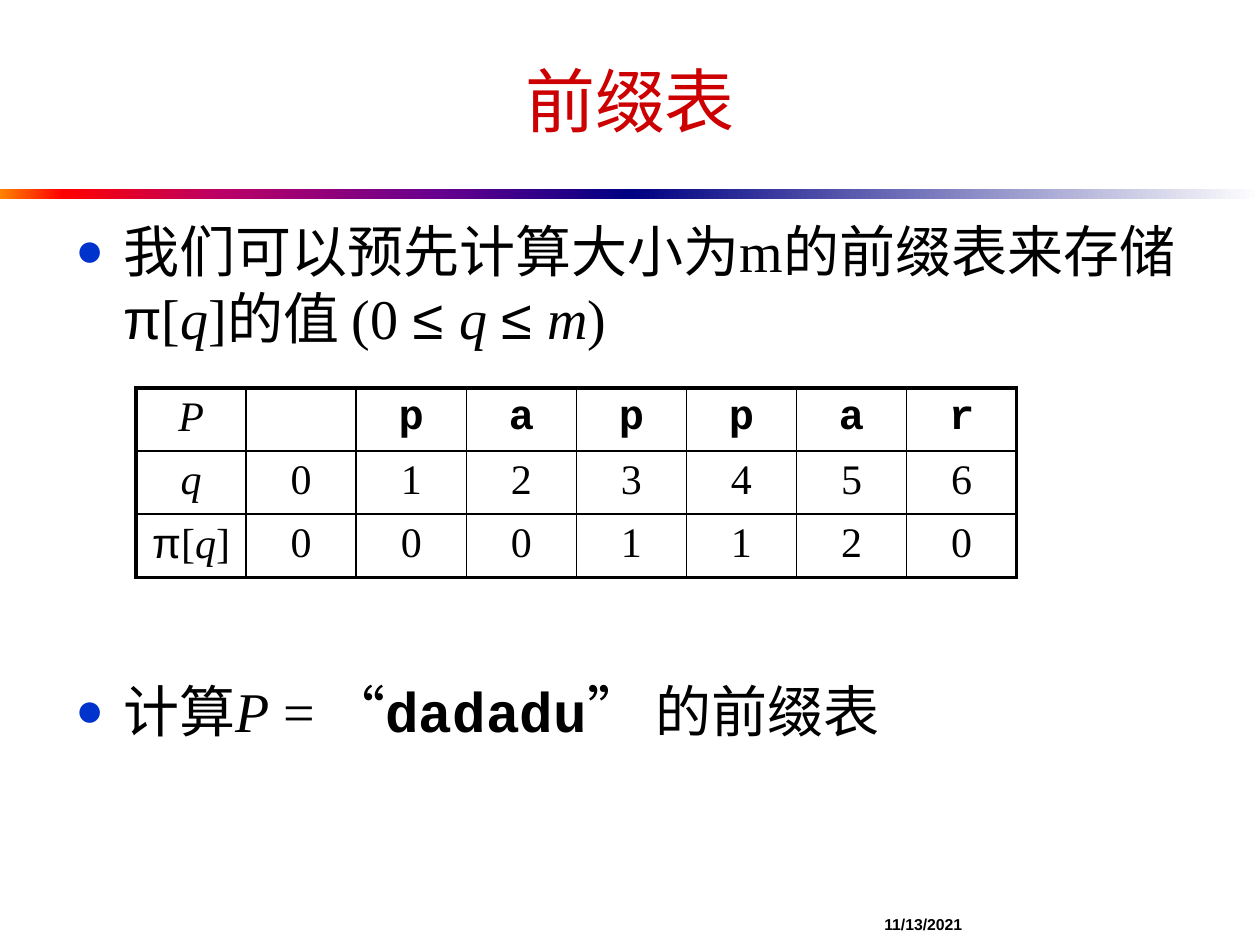
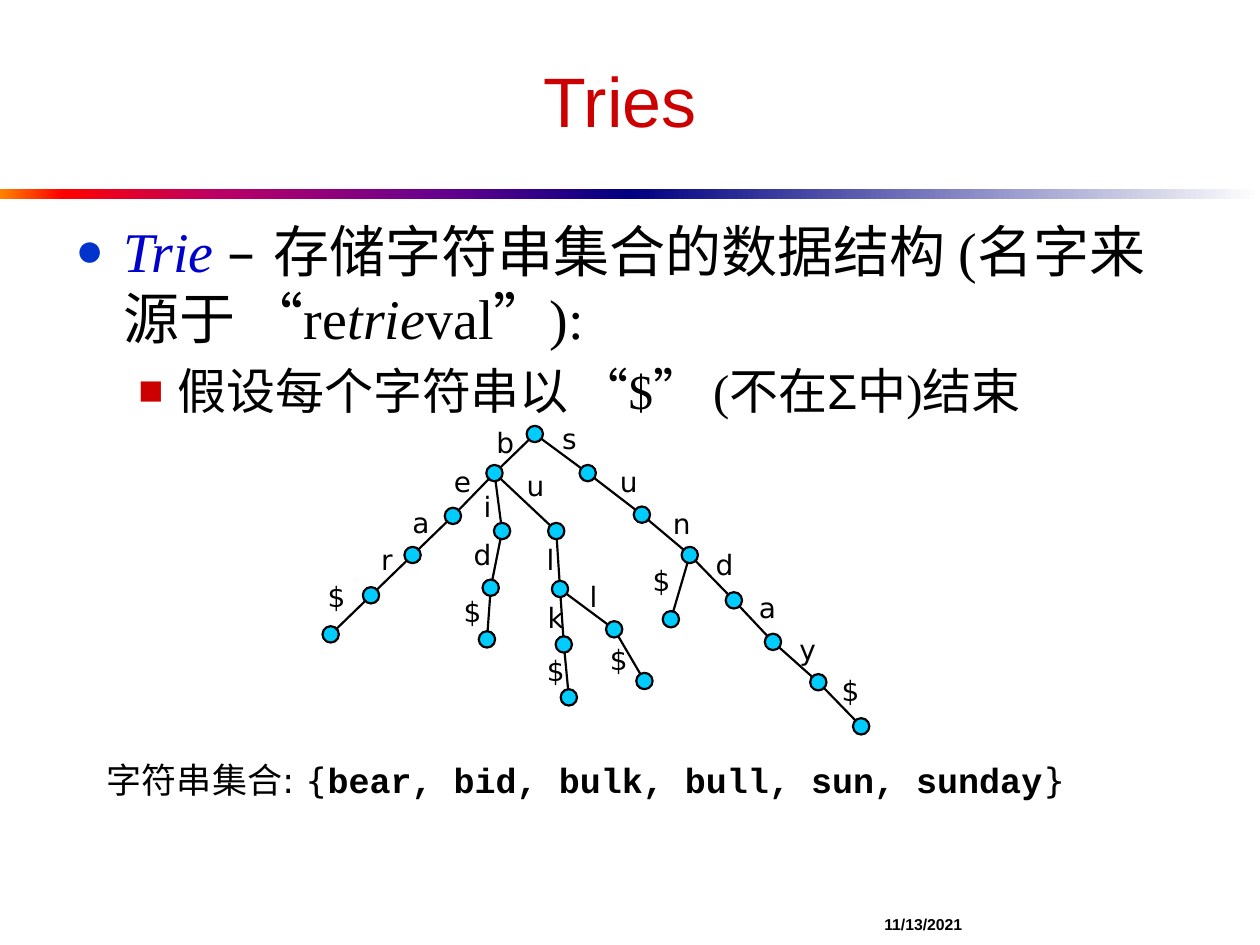
from dataclasses import dataclass
from math import hypot
from typing import NamedTuple

from lxml.etree import SubElement
from pptx import Presentation
from pptx.dml.color import RGBColor
from pptx.enum.shapes import MSO_CONNECTOR, MSO_SHAPE
from pptx.enum.text import MSO_ANCHOR, PP_ALIGN
from pptx.oxml.ns import qn
from pptx.util import Inches, Pt

COLORS = {
    "text": "000000", "title": "CC0000", "term": "0000CC", "node": "00CCFF",
    "dot": "0033CC", "square": "CC0000",
    "orange": "FF8200", "red": "FF0000", "plum": "BA0066",
    "purple": "66008F", "navy": "000082", "white": "FFFFFF",
}
SERIF, SANS, MONO, SIGN = "Times New Roman", "Arial", "Courier New", "DejaVu Sans"
BANDS = [
    [(0, "orange"), (10, "red"), (35, "plum"), (70, "purple"), (100, "navy")],
    [(0, "navy"), (100, "white")],
]
NODE = 0.13
LABEL = 0.34


class Run(NamedTuple):
    text: str
    font: str | None = None
    italic: bool = False
    bold: bool = False
    color: str | None = None


class Bullet(NamedTuple):
    char: str
    color: str
    left: float
    hang: float


@dataclass
class Para:
    runs: list[Run]
    size: float
    font: str = SERIF
    color: str = "text"
    align: PP_ALIGN = PP_ALIGN.LEFT
    bullet: Bullet | None = None
    gap: float = 0


class Node(NamedTuple):
    """A trie node named by its prefix; the label marks the edge above it."""
    word: str
    left: float
    top: float
    mid: float = 0
    high: float = 0

    def center(self) -> tuple[float, float]:
        return self.left + NODE / 2, self.top + NODE / 2


DOT = Bullet("●", "dot", 0.38, 0.38)
SQUARE = Bullet("■", "square", 0.81, 0.31)

TABLE_BODY = [
    Para([Run("我们可以预先计算大小为m的前缀表来存储"), Run("π", SANS), Run("["),
          Run("q", italic=True), Run("]的值 (0 "), Run("≤ ", SANS),
          Run("q ", italic=True), Run("≤ ", SANS), Run("m", italic=True), Run(")")],
         32, bullet=DOT),
    Para([Run("计算"), Run("P", italic=True), Run(" = "), Run("“", SIGN),
          Run("dadadu", MONO, bold=True), Run("” ", SIGN), Run("的前缀表")],
         32, bullet=DOT, gap=186),
]
TRIE_BODY = [
    Para([Run("Trie ", italic=True, color="term"), Run("– ", SIGN),
          Run("存储字符串集合的数据结构 (名字来源于 "), Run("“", SIGN), Run("re"),
          Run("trie", italic=True), Run("val"), Run("”", SIGN), Run("):")],
         32, bullet=DOT),
    Para([Run("假设每个字符串以 "), Run("“", SIGN), Run("$"), Run("”", SIGN),
          Run(" (不在"), Run("Σ中", SANS), Run(")结束")],
         28, bullet=SQUARE, gap=5.6),
]
WORDS = Para([Run("字符串集合: {"),
              Run("bear, bid, bulk, bull, sun, sunday", MONO, bold=True), Run("}")],
             20, SIGN)

PREFIX = [
    [[Run("P", italic=True)], [], *([Run(c, MONO, bold=True)] for c in "pappar")],
    [[Run("q", italic=True)], *([Run(c)] for c in "0123456")],
    [[Run("π", SANS), Run("["), Run("q", italic=True), Run("]")],
     *([Run(c)] for c in "0001120")],
]

NODES = [
    Node("", 4.18, 3.38),
    Node("b", 3.86, 3.69, 4.01, 3.33),
    Node("be", 3.53, 4.03, 3.67, 3.64),
    Node("bea", 3.21, 4.34, 3.34, 3.96),
    Node("bear", 2.88, 4.66, 3.07, 4.26),
    Node("bear$", 2.56, 4.97, 2.67, 4.55),
    Node("bi", 3.92, 4.15, 3.87, 3.84),
    Node("bid", 3.83, 4.6, 3.83, 4.22),
    Node("bid$", 3.8, 5.01, 3.75, 4.67),
    Node("bu", 4.35, 4.15, 4.25, 3.67),
    Node("bul", 4.38, 4.61, 4.37, 4.26),
    Node("bulk", 4.41, 5.05, 4.41, 4.72),
    Node("bulk$", 4.45, 5.47, 4.41, 5.14),
    Node("bull", 4.81, 4.93, 4.71, 4.55),
    Node("bull$", 5.05, 5.34, 4.91, 5.05),
    Node("s", 4.6, 3.69, 4.52, 3.3),
    Node("su", 5.03, 4.02, 4.99, 3.64),
    Node("sun", 5.41, 4.34, 5.41, 3.97),
    Node("sun$", 5.26, 4.85, 5.25, 4.42),
    Node("sund", 5.76, 4.7, 5.75, 4.3),
    Node("sunda", 6.07, 5.03, 6.09, 4.64),
    Node("sunday", 6.43, 5.35, 6.41, 4.97),
    Node("sunday$", 6.77, 5.7, 6.75, 5.3),
]


def rgb(name: str) -> RGBColor:
    return RGBColor.from_string(COLORS[name])


def set_bullet(para, mark: Bullet) -> None:
    props = para._p.get_or_add_pPr()
    props.set("marL", str(Inches(mark.left)))
    props.set("indent", str(-Inches(mark.hang)))
    tint = SubElement(props, qn("a:buClr"))
    SubElement(tint, qn("a:srgbClr"), val=COLORS[mark.color])
    SubElement(props, qn("a:buSzPct"), val="85000")
    SubElement(props, qn("a:buFont"), typeface=SANS)
    SubElement(props, qn("a:buChar"), char=mark.char)


def write(frame, paras: list[Para]) -> None:
    for i, item in enumerate(paras):
        para = frame.add_paragraph() if i else frame.paragraphs[0]
        if item.bullet:
            set_bullet(para, item.bullet)
        para.alignment = item.align
        para.space_before = Pt(item.gap)
        para.font.size = Pt(item.size)
        para.font.name = item.font
        para.font.color.rgb = rgb(item.color)
        for part in item.runs:
            run = para.add_run()
            run.text = part.text
            if part.font:
                run.font.name = part.font
            if part.italic:
                run.font.italic = True
            if part.bold:
                run.font.bold = True
            if part.color:
                run.font.color.rgb = rgb(part.color)


def add_text(slide, box: tuple[float, ...], paras: list[Para],
             anchor: MSO_ANCHOR = MSO_ANCHOR.TOP) -> None:
    frame = slide.shapes.add_textbox(*map(Inches, box)).text_frame
    frame.word_wrap = True
    frame.vertical_anchor = anchor
    write(frame, paras)


def add_band(slide, left: float, stops: list[tuple[int, str]]) -> None:
    band = slide.shapes.add_shape(MSO_SHAPE.RECTANGLE, Inches(left), Inches(1.5),
                                  Inches(5), Inches(0.08))
    band.shadow.inherit = False
    band.line.fill.background()
    band.fill.gradient()
    band.fill.gradient_angle = 0
    ramp = band._element.spPr.find(qn("a:gradFill")).find(qn("a:gsLst"))
    for old in list(ramp):
        ramp.remove(old)
    for place, name in stops:
        stop = SubElement(ramp, qn("a:gs"), pos=str(place * 1000))
        SubElement(stop, qn("a:srgbClr"), val=COLORS[name])


def add_page(deck, title: str):
    """Add a slide with the shared bands, date and title."""
    slide = deck.slides.add_slide(deck.slide_layouts[6])
    for i, stops in enumerate(BANDS):
        add_band(slide, 5 * i, stops)
    add_text(slide, (6.92, 7.17, 1.2, 0.33),
             [Para([Run("11/13/2021", bold=True)], 9, SANS)], MSO_ANCHOR.MIDDLE)
    add_text(slide, (0.5, 0.25, 9, 1.08),
             [Para([Run(title)], 40, SANS, "title", PP_ALIGN.CENTER)],
             MSO_ANCHOR.MIDDLE)
    return slide


def set_edges(cell, outer: dict[str, bool]) -> None:
    """Draw the four borders, thicker where the side is on the rim."""
    props = cell._tc.get_or_add_tcPr()
    for side, rim in outer.items():
        line = SubElement(props, qn(f"a:ln{side}"), w=str(Pt(2.25 if rim else 1)))
        fill = SubElement(line, qn("a:solidFill"))
        SubElement(fill, qn("a:srgbClr"), val=COLORS["text"])


def add_grid(slide, rows: list[list[list[Run]]]) -> None:
    high, wide = len(rows), len(rows[0])
    table = slide.shapes.add_table(high, wide, Inches(1.08), Inches(3.08),
                                   Inches(6.99), Inches(1.43)).table
    for col in table.columns:
        col.width = Inches(6.99 / wide)
    for r, row in enumerate(rows):
        table.rows[r].height = Inches(0.49 if r == high - 1 else 0.47)
        for c, runs in enumerate(row):
            cell = table.cell(r, c)
            set_edges(cell, {"L": c == 0, "R": c == wide - 1,
                             "T": r == 0, "B": r == high - 1})
            cell.fill.background()
            write(cell.text_frame, [Para(runs, 24, align=PP_ALIGN.CENTER)])


def set_line(shape) -> None:
    shape.line.color.rgb = rgb("text")
    shape.line.width = Pt(1.25)


def add_edge(slide, top: Node, low: Node) -> None:
    """Join two nodes from rim to rim."""
    (x1, y1), (x2, y2) = top.center(), low.center()
    part = NODE / 2 / hypot(x2 - x1, y2 - y1)
    dx, dy = (x2 - x1) * part, (y2 - y1) * part
    ends = map(Inches, (x1 + dx, y1 + dy, x2 - dx, y2 - dy))
    edge = slide.shapes.add_connector(MSO_CONNECTOR.STRAIGHT, *ends)
    SubElement(edge._element.spPr, qn("a:effectLst"))
    set_line(edge)


def add_trie(slide, nodes: list[Node]) -> None:
    known = {node.word: node for node in nodes}
    for node in nodes:
        if node.word:
            add_edge(slide, known[node.word[:-1]], node)
            add_text(slide, (node.mid - LABEL / 2, node.high, LABEL, 0.37),
                     [Para([Run(node.word[-1])], 16, SIGN, align=PP_ALIGN.CENTER)])
        disc = slide.shapes.add_shape(MSO_SHAPE.OVAL, Inches(node.left),
                                      Inches(node.top), Inches(NODE), Inches(NODE))
        disc.shadow.inherit = False
        disc.fill.solid()
        disc.fill.fore_color.rgb = rgb("node")
        set_line(disc)


def main() -> None:
    deck = Presentation()
    deck.slide_width, deck.slide_height = Inches(10), Inches(7.5)

    slide = add_page(deck, "前缀表")
    add_text(slide, (0.5, 1.67, 9, 4.4), TABLE_BODY)
    add_grid(slide, PREFIX)

    slide = add_page(deck, "Tries ")
    add_text(slide, (0.5, 1.67, 9, 1.6), TRIE_BODY)
    add_trie(slide, NODES)
    add_text(slide, (0.75, 5.97, 9.12, 0.5), [WORDS])

    deck.save("out.pptx")


if __name__ == "__main__":
    main()
